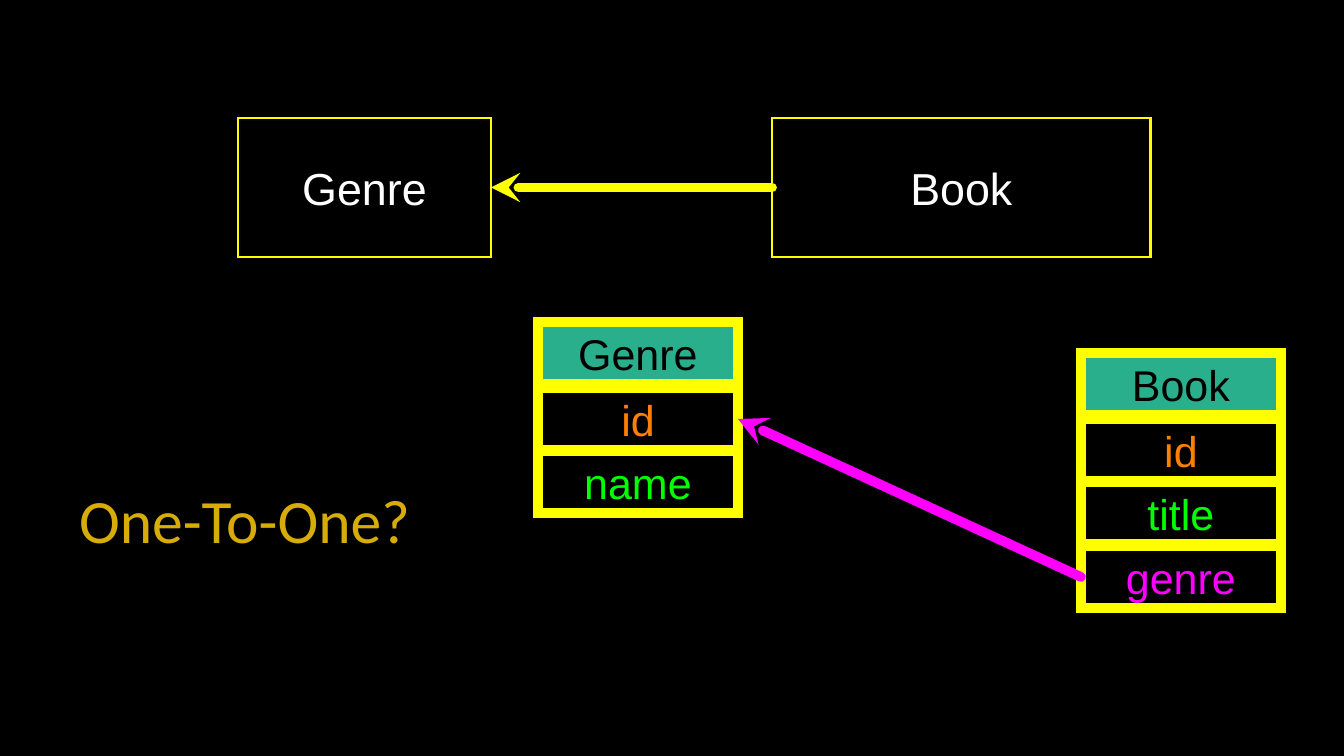
from dataclasses import dataclass

from lxml import etree
from pptx import Presentation
from pptx.dml.color import RGBColor
from pptx.enum.shapes import MSO_CONNECTOR, MSO_SHAPE
from pptx.enum.text import MSO_ANCHOR, MSO_AUTO_SIZE, PP_ALIGN
from pptx.oxml.ns import qn
from pptx.util import Emu, Pt

RECTANGLE = MSO_SHAPE.RECTANGLE
STRAIGHT = MSO_CONNECTOR.STRAIGHT
MIDDLE = MSO_ANCHOR.MIDDLE
NO_AUTOFIT = MSO_AUTO_SIZE.NONE
LEFT, CENTER = PP_ALIGN.LEFT, PP_ALIGN.CENTER
LEFT_SIDE, RIGHT_SIDE = 1, 3
TITLE_ONLY = 5
EMU_PER_PX = 914400 / 100.8
FIELD_WIDTH, FIELD_HEIGHT = 200, 62
FIELD_OFFSETS = (0, 66, 129, 193)


@dataclass(frozen=True)
class Theme:
    background: str = "000000"
    outline: str = "FFFF00"
    header_fill: str = "29AF8C"
    header_text: str = "000000"
    entity_text: str = "FFFFFF"
    key: str = "FF7F00"
    attribute: str = "00FF00"
    reference: str = "FF00FF"
    title: str = "D7AC08"
    body_font: str = "Arial"
    title_font: str = "Calibri"
    entity_size: float = 32
    field_size: float = 30.7
    title_size: float = 44
    thin: float = 2
    thick: float = 7


THEME = Theme()


def px(length):
    return Emu(round(length * EMU_PER_PX))


def rgb(colour):
    return RGBColor.from_string(colour)


def write_text(shape, text, *, size, colour, font=THEME.body_font,
               align=CENTER, spacing=None):
    frame = shape.text_frame
    frame.word_wrap = True
    frame.auto_size = NO_AUTOFIT
    frame.vertical_anchor = MIDDLE
    para = frame.paragraphs[0]
    para.alignment = align
    para.line_spacing = spacing
    span = para.add_run()
    span.text = text
    span.font.name = font
    span.font.size = Pt(size)
    span.font.color.rgb = rgb(colour)


def style_line(line, colour, width):
    line.color.rgb = rgb(colour)
    line.width = Pt(width)


def add_box(page, text, left, top, width, height, *, size, colour,
            line_width, fill=None):
    box = page.shapes.add_shape(RECTANGLE, px(left), px(top), px(width), px(height))
    box.shadow.inherit = False
    if fill:
        box.fill.solid()
        box.fill.fore_color.rgb = rgb(fill)
    else:
        box.fill.background()
    style_line(box.line, THEME.outline, line_width)
    etree.SubElement(box.line._get_or_add_ln(), qn("a:miter"), lim="800000")
    frame = box.text_frame
    frame.margin_left = frame.margin_top = frame.margin_right = frame.margin_bottom = 0
    write_text(box, text, size=size, colour=colour)
    return box


def add_entity(page, name, left, width):
    return add_box(page, name, left, 118, width, 139, size=THEME.entity_size,
                   colour=THEME.entity_text, line_width=THEME.thin)


def add_record(page, name, left, top, fields):
    rows = [(name, THEME.header_text, THEME.header_fill)]
    rows += [(field, colour, None) for field, colour in fields]
    return [
        add_box(page, text, left, top + offset, FIELD_WIDTH, FIELD_HEIGHT,
                size=THEME.field_size, colour=colour, line_width=THEME.thick, fill=fill)
        for (text, colour, fill), offset in zip(rows, FIELD_OFFSETS)
    ]


def add_arrow(page, target, source, colour):
    arrow = page.shapes.add_connector(STRAIGHT, 0, 0, 0, 0)
    arrow.begin_connect(target, RIGHT_SIDE)
    arrow.end_connect(source, LEFT_SIDE)
    style_line(arrow.line, colour, THEME.thick)
    line = arrow.line._get_or_add_ln()
    line.set("cap", "rnd")
    etree.SubElement(line, qn("a:round"))
    etree.SubElement(line, qn("a:headEnd"), type="stealth")
    etree.SubElement(arrow._element.spPr, qn("a:effectLst"))


def place_title(page, text):
    title = page.shapes.title
    title.left, title.top = px(69), px(451)
    title.width, title.height = px(446), px(146)
    write_text(title, text, size=THEME.title_size, colour=THEME.title,
               font=THEME.title_font, align=LEFT, spacing=0.9)


def main():
    deck = Presentation()
    deck.slide_width, deck.slide_height = px(1344), px(756)
    page = deck.slides.add_slide(deck.slide_layouts[TITLE_ONLY])
    page.background.fill.solid()
    page.background.fill.fore_color.rgb = rgb(THEME.background)

    place_title(page, "One-To-One?")
    genre = add_entity(page, "Genre", 238, 253)
    book = add_entity(page, "Book", 772, 379)
    add_arrow(page, genre, book, THEME.outline)

    genre_rows = add_record(page, "Genre", 538, 322, [
        ("id", THEME.key), ("name", THEME.attribute)])
    book_rows = add_record(page, "Book", 1081, 353, [
        ("id", THEME.key), ("title", THEME.attribute), ("genre", THEME.reference)])
    add_arrow(page, genre_rows[1], book_rows[3], THEME.reference)
    deck.save("out.pptx")


if __name__ == "__main__":
    main()
